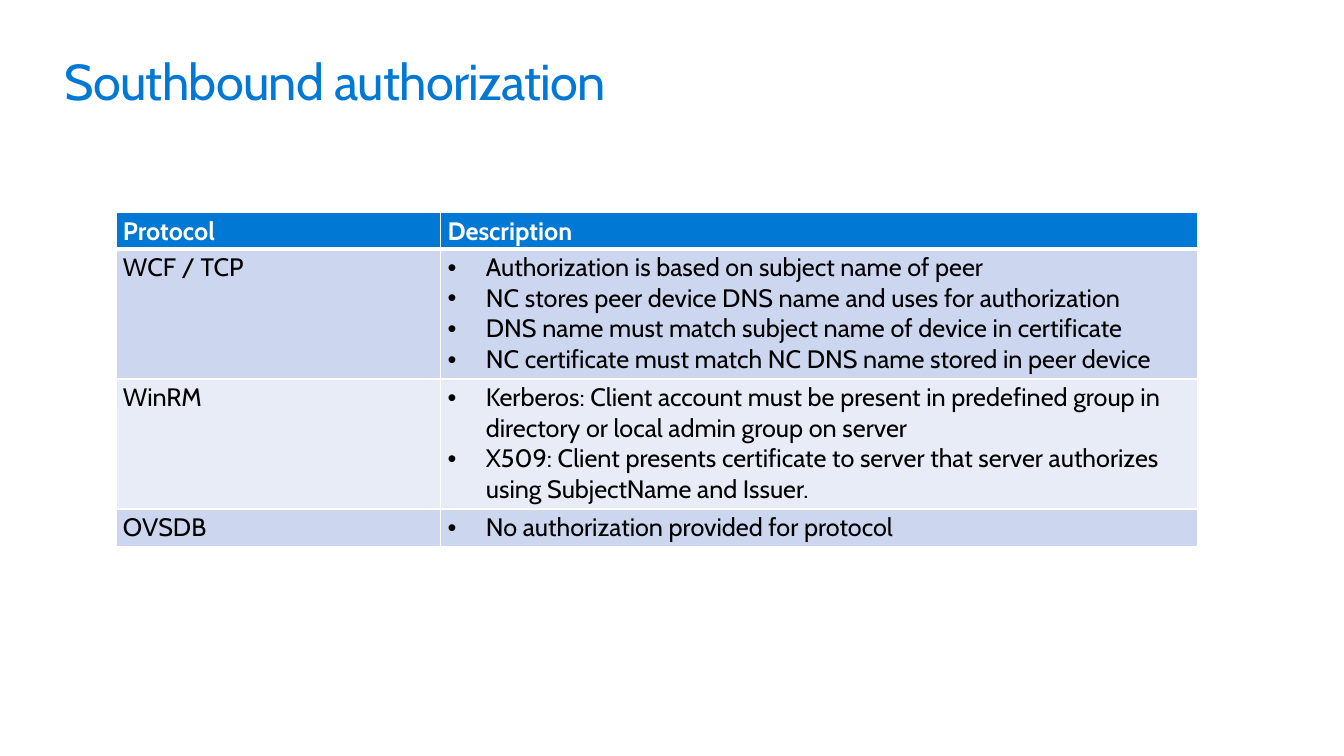
"""Build the Southbound authorization slide: a title above a protocol table."""
from pptx import Presentation
from pptx.dml.color import RGBColor
from pptx.enum.text import MSO_ANCHOR
from pptx.oxml.ns import qn
from pptx.util import Inches, Pt
from lxml import etree

TITLE = "Southbound authorization"
HEADINGS = ("Protocol", "Description")
PROTOCOLS = [
    ("WCF / TCP", [
        "Authorization is based on subject name of peer",
        "NC stores peer device DNS name and uses for authorization",
        "DNS name must match subject name of device in certificate",
        "NC certificate must match NC DNS name stored in peer device",
    ]),
    ("WinRM", [
        "Kerberos: Client account must be present in predefined group in directory or local admin group on server",
        "X509: Client presents certificate to server that server authorizes using SubjectName and Issuer.",
    ]),
    ("OVSDB", ["No authorization provided for protocol"]),
]
COLUMN_WIDTHS = (3.22, 7.51)
ROW_HEIGHTS = (0.36, 1.29, 1.29, 0.37)

FONT = "Cabin"
BLUE = RGBColor(0x00, 0x78, 0xD4)
WHITE = RGBColor(0xFF, 0xFF, 0xFF)
BLACK = RGBColor(0x00, 0x00, 0x00)
BANDS = (RGBColor(0xCC, 0xD6, 0xEF), RGBColor(0xE7, 0xEC, 0xF7))
TOP = MSO_ANCHOR.TOP


def style(paragraph, size, color, bold=False):
    font = paragraph.font
    font.name, font.size, font.bold = FONT, Pt(size), bold
    font.color.rgb = color


def add_bullet(paragraph):
    properties = paragraph._p.get_or_add_pPr()
    properties.set("marL", str(Inches(0.38)))
    properties.set("indent", str(-Inches(0.38)))
    etree.SubElement(properties, qn("a:buFont"), typeface="Arial")
    etree.SubElement(properties, qn("a:buChar"), char="•")


def add_borders(cell, top, bottom):
    properties = cell._tc.get_or_add_tcPr()
    for side, width in (("L", 1), ("R", 1), ("T", top), ("B", bottom)):
        line = etree.SubElement(properties, qn(f"a:ln{side}"), w=str(Pt(width)))
        fill = etree.SubElement(line, qn("a:solidFill"))
        etree.SubElement(fill, qn("a:srgbClr"), val=str(WHITE))


def fill_cell(cell, lines, row, bulleted):
    header = row == 0
    add_borders(cell, 3 if row == 1 else 1, 3 if header else 1)
    cell.fill.solid()
    cell.fill.fore_color.rgb = BLUE if header else BANDS[(row - 1) % 2]
    cell.margin_left = cell.margin_right = Inches(0.07)
    cell.margin_top = cell.margin_bottom = Inches(0.03)
    cell.vertical_anchor = TOP
    cell.text_frame.text = "\n".join(lines)
    for paragraph in cell.text_frame.paragraphs:
        if bulleted:
            add_bullet(paragraph)
        style(paragraph, 18, WHITE if header else BLACK, header)


def add_title(page):
    box = page.shapes.add_textbox(Inches(0.64), Inches(0.5), Inches(12.05), Inches(0.61))
    frame = box.text_frame
    frame.word_wrap = True
    frame.margin_left = frame.margin_right = frame.margin_top = frame.margin_bottom = 0
    frame.text = TITLE
    paragraph = frame.paragraphs[0]
    style(paragraph, 36, BLUE)
    paragraph.runs[0]._r.get_or_add_rPr().set("spc", "-50")


def add_protocol_table(page):
    table = page.shapes.add_table(
        len(ROW_HEIGHTS), len(COLUMN_WIDTHS), Inches(1.15), Inches(2.11),
        Inches(sum(COLUMN_WIDTHS)), Inches(sum(ROW_HEIGHTS))).table
    for column, width in zip(table.columns, COLUMN_WIDTHS):
        column.width = Inches(width)
    for row, height in zip(table.rows, ROW_HEIGHTS):
        row.height = Inches(height)
    rows = [(HEADINGS[0], [HEADINGS[1]])] + PROTOCOLS
    for index, (protocol, description) in enumerate(rows):
        fill_cell(table.cell(index, 0), [protocol], index, False)
        fill_cell(table.cell(index, 1), description, index, index > 0)


def main():
    deck = Presentation()
    deck.slide_width, deck.slide_height = Inches(13.33), Inches(7.5)
    page = deck.slides.add_slide(deck.slide_layouts[6])
    add_title(page)
    add_protocol_table(page)
    deck.save("out.pptx")


if __name__ == "__main__":
    main()
